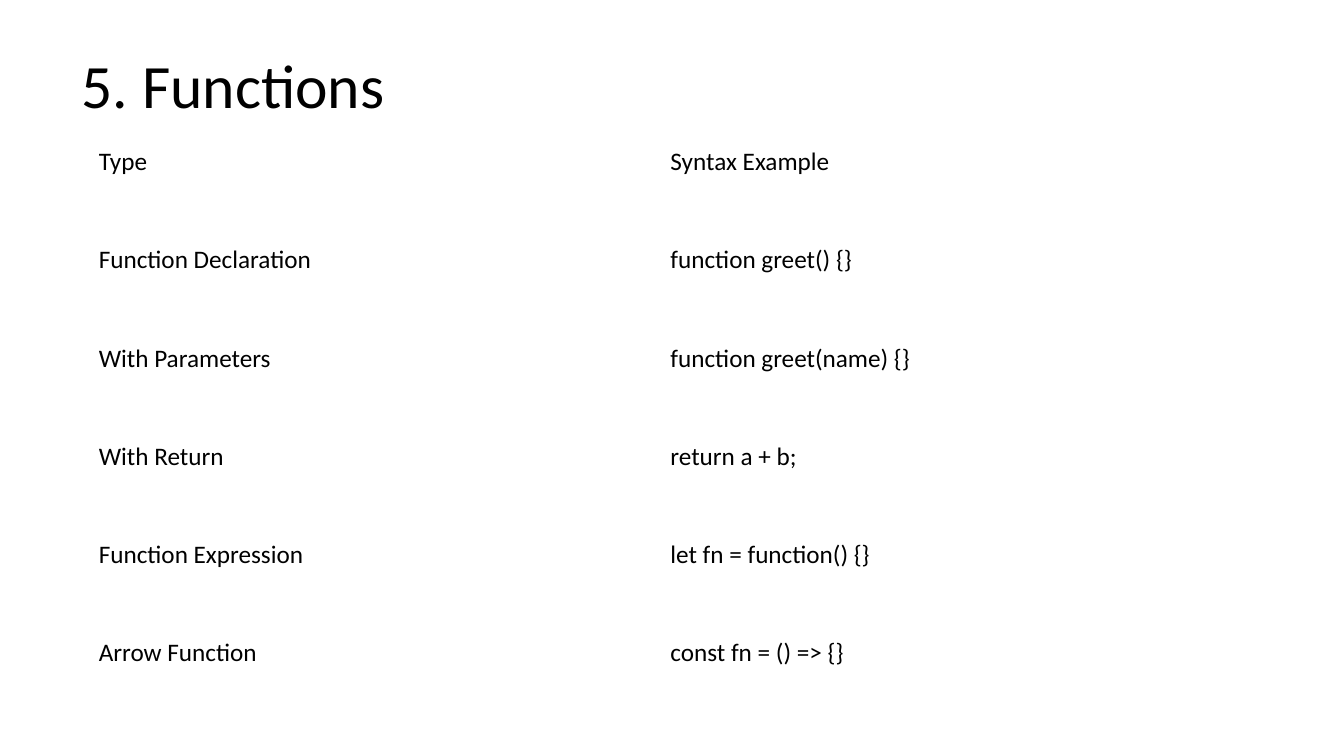
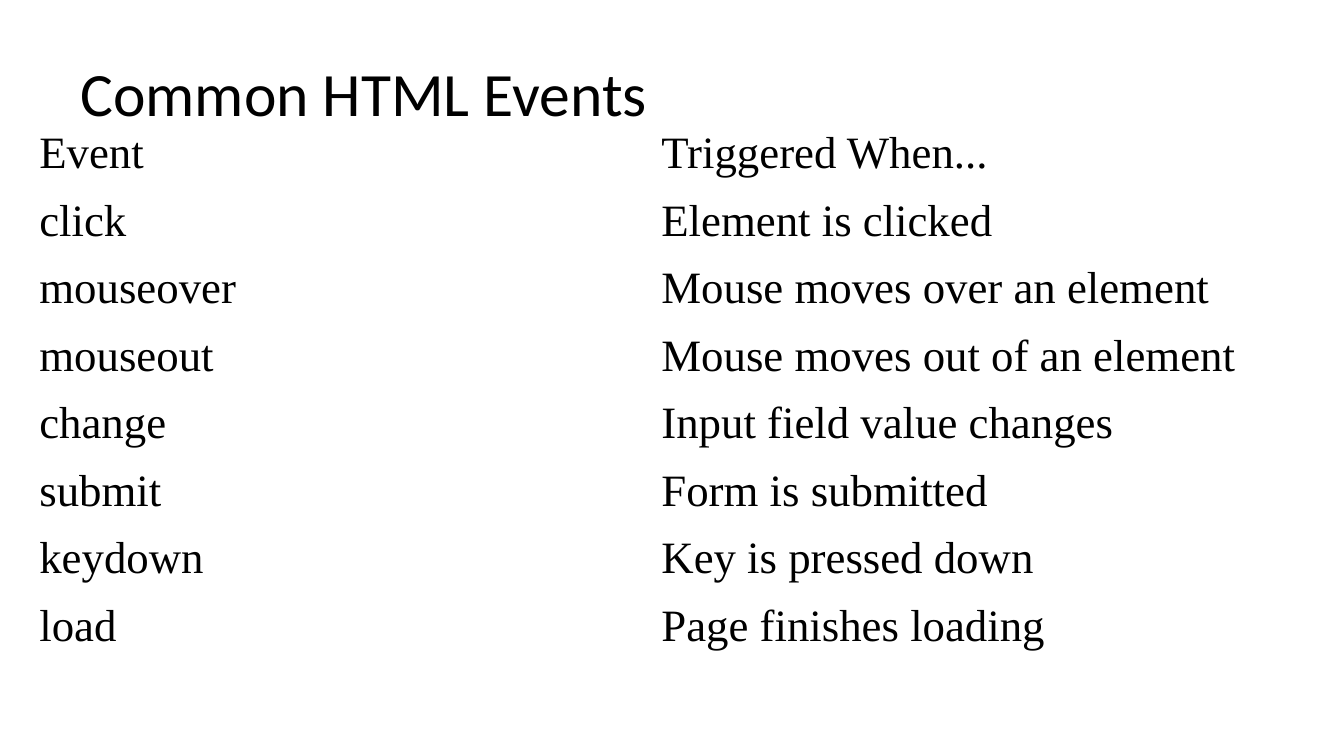
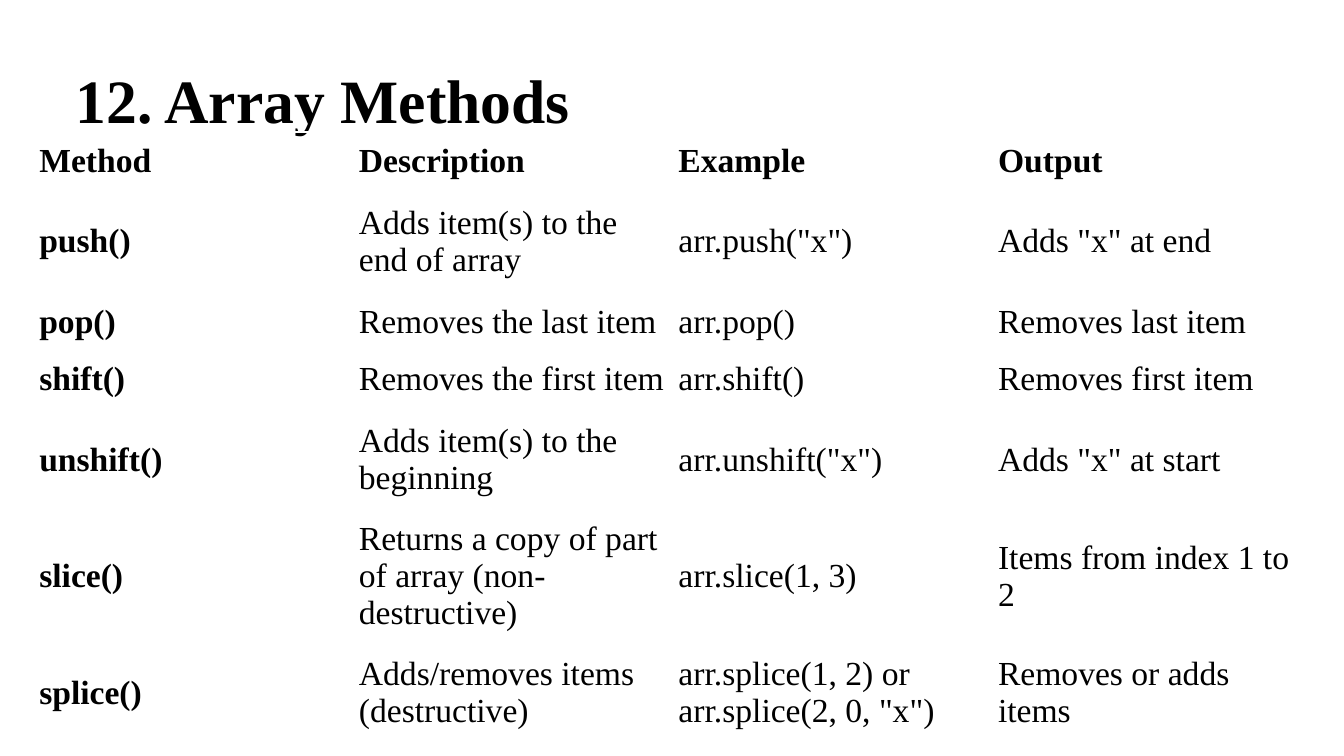
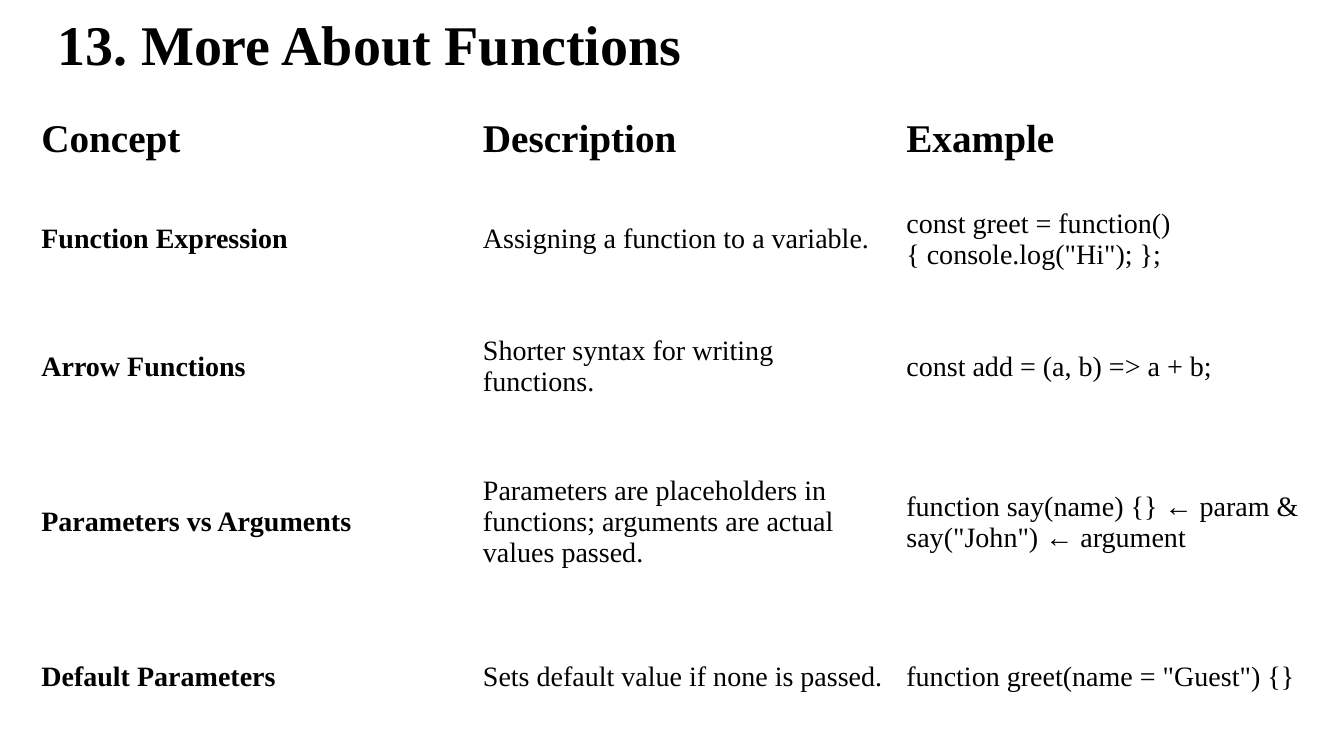
from pptx import Presentation
from pptx.dml.color import RGBColor
from pptx.enum.text import MSO_ANCHOR
from pptx.util import Inches, Pt

SANS = "Calibri"
SERIF = "Times New Roman"
TEXT_COLOR = "000000"
BACKGROUND_COLOR = "FFFFFF"

FUNCTION_ROWS = [
    ["Type", "Syntax Example"],
    ["Function Declaration", "function greet() {}"],
    ["With Parameters", "function greet(name) {}"],
    ["With Return", "return a + b;"],
    ["Function Expression", "let fn = function() {}"],
    ["Arrow Function", "const fn = () => {}"],
]

EVENT_ROWS = [
    ["Event", "Triggered When..."],
    ["click", "Element is clicked"],
    ["mouseover", "Mouse moves over an element"],
    ["mouseout", "Mouse moves out of an element"],
    ["change", "Input field value changes"],
    ["submit", "Form is submitted"],
    ["keydown", "Key is pressed down"],
    ["load", "Page finishes loading"],
]

ARRAY_METHOD_ROWS = [
    ["Method", "Description", "Example", "Output"],
    ["push()", "Adds item(s) to the end of array", 'arr.push("x")', 'Adds "x" at end'],
    ["pop()", "Removes the last item", "arr.pop()", "Removes last item"],
    ["shift()", "Removes the first item", "arr.shift()", "Removes first item"],
    ["unshift()", "Adds item(s) to the beginning", 'arr.unshift("x")', 'Adds "x" at start'],
    ["slice()", "Returns a copy of part of array (non-destructive)", "arr.slice(1, 3)",
     "Items from index 1 to 2"],
    ["splice()", "Adds/removes items (destructive)",
     'arr.splice(1, 2) or arr.splice(2, 0, "x")', "Removes or adds items"],
]

CONCEPT_ROWS = [
    ["Concept", "Description", "Example"],
    ["Function Expression", "Assigning a function to a variable.",
     'const greet = function() { console.log("Hi"); };'],
    ["Arrow Functions", "Shorter syntax for writing functions.",
     "const add = (a, b) => a + b;"],
    ["Parameters vs Arguments",
     "Parameters are placeholders in functions; arguments are actual values passed.",
     'function say(name) {} ← param & say("John") ← argument'],
    ["Default Parameters", "Sets default value if none is passed.",
     'function greet(name = "Guest") {}'],
]


def color(value):
    return RGBColor.from_string(value)


def write_text(text_frame, text, size=18, font=SANS, bold=False, line_spacing=None):
    text_frame.word_wrap = True
    paragraph = text_frame.paragraphs[0]
    paragraph.line_spacing = line_spacing
    run = paragraph.add_run()
    run.text = text
    run.font.size = Pt(size)
    run.font.name = font
    run.font.bold = bold
    run.font.color.rgb = color(TEXT_COLOR)


def add_slide(presentation):
    slide = presentation.slides.add_slide(presentation.slide_layouts[6])
    slide.background.fill.solid()
    slide.background.fill.fore_color.rgb = color(BACKGROUND_COLOR)
    return slide


def add_title(slide, text, left, top, width=11.5, size=44, **text_format):
    shape = slide.shapes.add_textbox(Inches(left), Inches(top), Inches(width), Inches(1.45))
    shape.text_frame.vertical_anchor = MSO_ANCHOR.MIDDLE
    write_text(shape.text_frame, text, size=size, line_spacing=0.9, **text_format)


def add_plain_table(slide, rows, left, top, widths, heights, size, header_size=None,
                    font=SERIF, bold_headings=False, side_margin=0.1, end_margin=0.05):
    table = slide.shapes.add_table(
        len(rows), len(widths), Inches(left), Inches(top),
        Inches(sum(widths)), Inches(sum(heights))).table
    table.first_row = table.horz_banding = False
    for column, width in zip(table.columns, widths):
        column.width = Inches(width)
    for row_index, (row, height) in enumerate(zip(rows, heights)):
        table.rows[row_index].height = Inches(height)
        for column_index, text in enumerate(row):
            cell = table.cell(row_index, column_index)
            cell.fill.background()
            cell.vertical_anchor = MSO_ANCHOR.MIDDLE
            cell.margin_left = cell.margin_right = Inches(side_margin)
            cell.margin_top = cell.margin_bottom = Inches(end_margin)
            is_heading = row_index == 0 or column_index == 0
            write_text(cell.text_frame, text, font=font, bold=bold_headings and is_heading,
                       size=header_size if header_size and row_index == 0 else size)


def main():
    presentation = Presentation()
    presentation.slide_width = Inches(13.33)
    presentation.slide_height = Inches(7.5)

    slide = add_slide(presentation)
    add_title(slide, "5. Functions", 0.71, 0.15)
    add_plain_table(slide, FUNCTION_ROWS, 0.88, 1.12, [5.67] * 2,
                    [0.975] * len(FUNCTION_ROWS), size=18, font=SANS)

    slide = add_slide(presentation)
    add_title(slide, "Common HTML Events", 0.7, 0.23, width=9.4)
    add_plain_table(slide, EVENT_ROWS, 0.29, 1.19, [6.17] * 2,
                    [0.67] * len(EVENT_ROWS), size=32)

    slide = add_slide(presentation)
    add_title(slide, "12. Array Methods", 0.65, 0.3, font=SERIF, bold=True)
    add_plain_table(slide, ARRAY_METHOD_ROWS, 0.32, 1.31, [3.17] * 4,
                    [0.57, 1.03, 0.57, 0.57, 1.03, 1.03, 1.03], size=24,
                    bold_headings=True, side_margin=0.07, end_margin=0.04)

    slide = add_slide(presentation)
    add_title(slide, "13. More About Functions", 0.47, -0.26, size=40, font=SERIF, bold=True)
    add_plain_table(slide, CONCEPT_ROWS, 0.33, 1.02, [4.38, 4.2, 4.2],
                    [0.72, 1.27, 1.26, 1.82, 1.26], size=20, header_size=28,
                    bold_headings=True, side_margin=0.08, end_margin=0.04)

    presentation.save("out.pptx")


if __name__ == "__main__":
    main()
